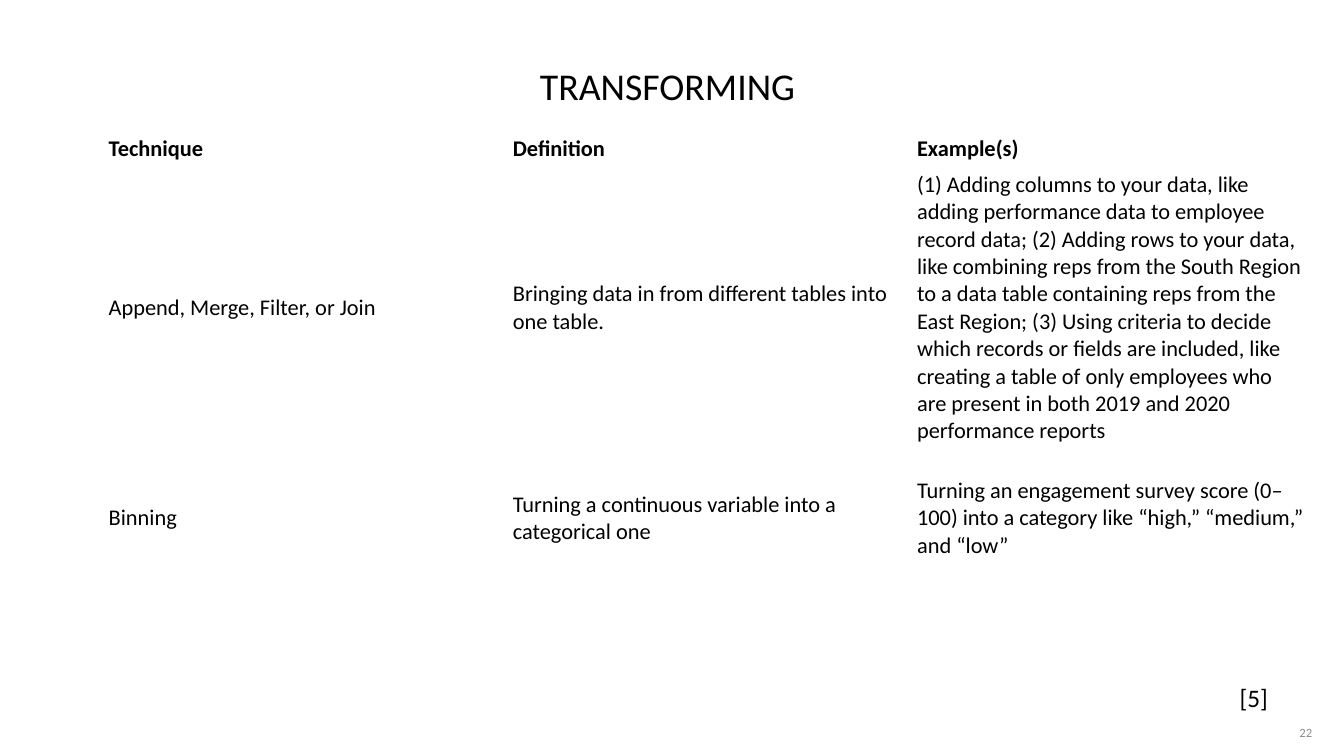
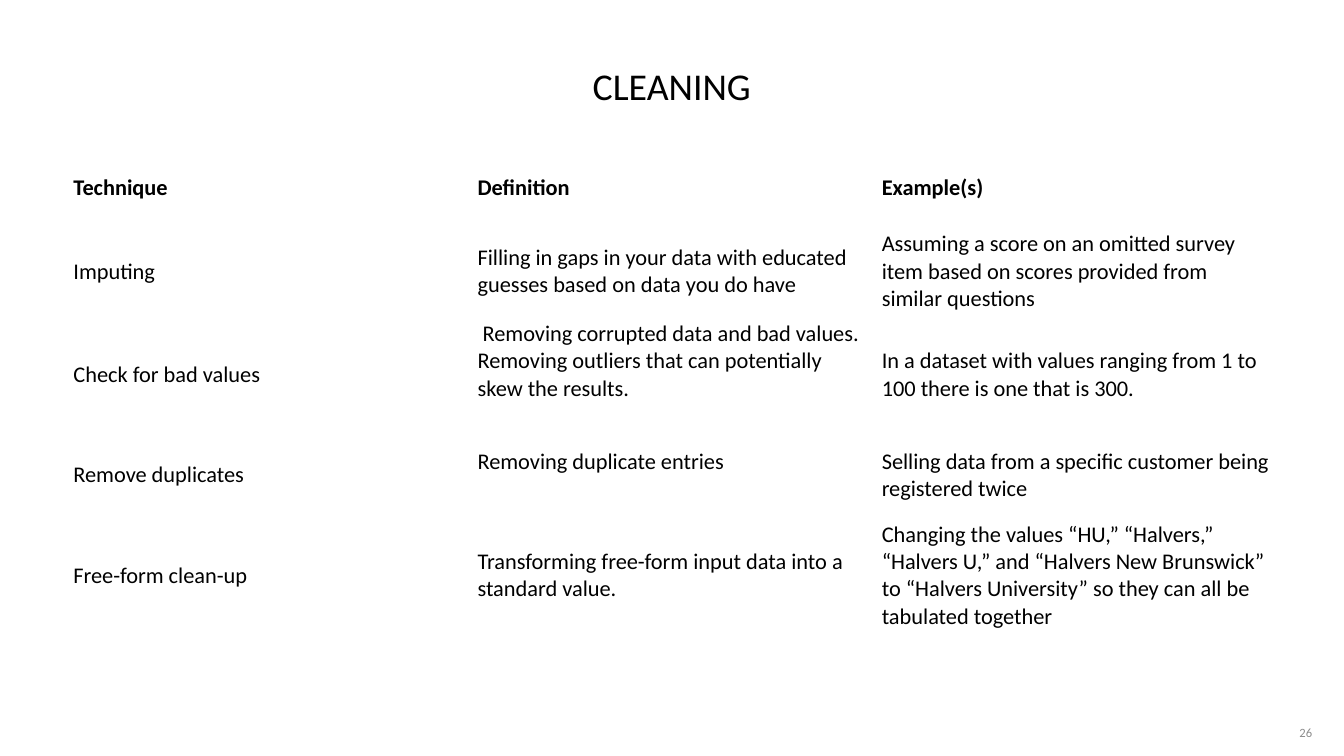
import pptx
import pptx.dml.color
import pptx.enum.text
import pptx.util
from dataclasses import dataclass

Cm = pptx.util.Cm
Align = pptx.enum.text.PP_ALIGN
Anchor = pptx.enum.text.MSO_ANCHOR


@dataclass(frozen=True)
class Theme:
    font: str = "Calibri"
    ink: str = "000000"
    muted: str = "8C8C8C"
    paper: str = "FFFFFF"
    title_size: int = 27
    note_size: int = 18
    body_size: int = 16
    number_size: int = 9
    cell_inset_x: float = 0.2
    cell_inset_y: float = 0.09
    body_line: float = 0.69  # height of one line of body text, cm


THEME = Theme()

# Boxes are left, top, width, height in cm
SLIDE_SIZE = (33.87, 19.05)
TITLE_BOX = (1.65, 1.02, 30.56, 2.29)
NUMBER_BOX = (32.08, 17.96, 1.24, 1.02)
NOTE_BOX = (31.24, 17.07, 1.24, 1.02)
TABLE_WIDTH = 30.56

HEADINGS = ("Technique", "Definition", "Example(s)")

TRANSFORMING_ROWS = [
    ("Append, Merge, Filter, or Join",
     "Bringing data in from different tables into one table.",
     "(1) Adding columns to your data, like adding performance data to employee "
     "record data; (2) Adding rows to your data, like combining reps from the "
     "South Region to a data table containing reps from the East Region; "
     "(3) Using criteria to decide which records or fields are included, like "
     "creating a table of only employees who are present in both 2019 and 2020 "
     "performance reports"),
    ("Binning",
     "Turning a continuous variable into a categorical one",
     "Turning an engagement survey score (0–100) into a category like “high,” "
     "“medium,” and “low”"),
]

CLEANING_ROWS = [
    ("Imputing",
     "Filling in gaps in your data with educated guesses based on data you do have",
     "Assuming a score on an omitted survey item based on scores provided from "
     "similar questions"),
    ("Check for bad values",
     " Removing corrupted data and bad values. Removing outliers that can "
     "potentially skew the results.",
     "In a dataset with values ranging from 1 to 100 there is one that is 300."),
    ("Remove duplicates",
     "Removing duplicate entries",
     "Selling data from a specific customer being registered twice"),
    ("Free-form clean-up",
     "Transforming free-form input data into a standard value.",
     "Changing the values “HU,” “Halvers,” “Halvers U,” and “Halvers New "
     "Brunswick” to “Halvers University” so they can all be tabulated together"),
]


def add_run(paragraph, text, size, color=THEME.ink, bold=False):
    run = paragraph.add_run()
    run.text = text
    run.font.name = THEME.font
    run.font.size = pptx.util.Pt(size)
    run.font.bold = bold
    run.font.color.rgb = pptx.dml.color.RGBColor.from_string(color)


def add_label(slide, box, text, size, color=THEME.ink,
              align=Align.LEFT, anchor=Anchor.MIDDLE):
    frame = slide.shapes.add_textbox(*map(Cm, box)).text_frame
    frame.word_wrap = True
    frame.vertical_anchor = anchor
    frame.paragraphs[0].alignment = align
    add_run(frame.paragraphs[0], text, size, color)
    return frame


def fill_cell(cell, text, bold, raised):
    cell.fill.solid()
    cell.fill.fore_color.rgb = pptx.dml.color.RGBColor.from_string(THEME.paper)
    cell.vertical_anchor = Anchor.MIDDLE
    cell.margin_left = cell.margin_right = Cm(THEME.cell_inset_x)
    cell.margin_top = Cm(THEME.cell_inset_y)
    # A raised cell keeps one line of space under its text
    cell.margin_bottom = Cm(THEME.cell_inset_y + (THEME.body_line if raised else 0))
    add_run(cell.text_frame.paragraphs[0], text, THEME.body_size, bold=bold)


def add_technique_table(slide, left, top, rows, heights, raised=()):
    content = [HEADINGS, *rows]
    table = slide.shapes.add_table(
        len(content), len(HEADINGS),
        Cm(left), Cm(top), Cm(TABLE_WIDTH), Cm(sum(heights))).table
    table.first_row = table.horz_banding = False
    for column in table.columns:
        column.width = Cm(TABLE_WIDTH / len(HEADINGS))
    for r, (texts, height) in enumerate(zip(content, heights)):
        table.rows[r].height = Cm(height)
        for c, text in enumerate(texts):
            fill_cell(table.cell(r, c), text, bold=r == 0, raised=(r, c) in raised)


def add_technique_slide(deck, title, number):
    """Blank slide with the shared title and slide number."""
    slide = deck.slides.add_slide(deck.slide_layouts[6])
    add_label(slide, TITLE_BOX, title, THEME.title_size, align=Align.CENTER)
    add_label(slide, NUMBER_BOX, number, THEME.number_size, THEME.muted, Align.RIGHT)
    return slide


def main():
    deck = pptx.Presentation()
    deck.slide_width, deck.slide_height = map(Cm, SLIDE_SIZE)

    # Transforming, with its reference mark
    transforming = add_technique_slide(deck, "TRANSFORMING ", "22")
    add_technique_table(transforming, 2.54, 3.3, TRANSFORMING_ROWS, (0.91, 7.1, 3.5))
    reference = add_label(transforming, NOTE_BOX, "[5]", THEME.note_size,
                          anchor=Anchor.TOP)
    reference.margin_left = reference.margin_right = 0

    # Cleaning
    cleaning = add_technique_slide(deck, "CLEANING", "26")
    add_technique_table(cleaning, 1.65, 3.78, CLEANING_ROWS,
                        (1.93, 2.26, 2.95, 2.11, 2.95), raised={(2, 1), (3, 1)})

    deck.save("out.pptx")


if __name__ == "__main__":
    main()
